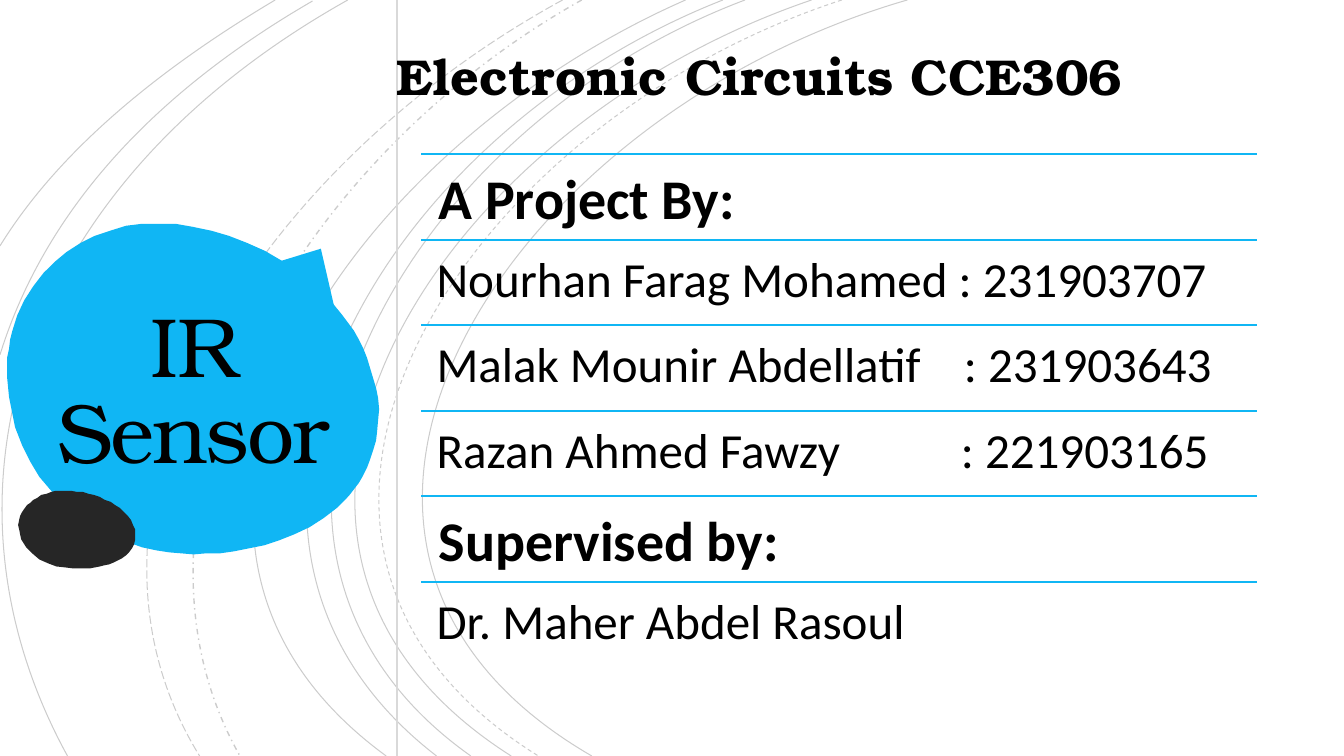
from pptx import Presentation
from pptx.dml.color import RGBColor
from pptx.enum.dml import MSO_LINE as Dash
from pptx.enum.shapes import MSO_CONNECTOR as Link, MSO_SHAPE as Shape
from pptx.enum.text import MSO_ANCHOR as Anchor, MSO_AUTO_SIZE as Fit, PP_ALIGN as Align
from pptx.oxml.ns import qn
from pptx.util import Pt
from lxml.etree import SubElement

PX = 9144
BLACK = RGBColor(0x00, 0x00, 0x00)
BLUE = RGBColor(0x10, 0xB6, 0xF4)
CHARCOAL = RGBColor(0x26, 0x26, 0x26)
GREY = RGBColor(0xD9, 0xD9, 0xD9)
SERIF, SANS = "TeX Gyre Bonum", "Calibri"

ARCS = [
    ((900, 0), (501, 115), (226, 541), (587, 750), 0.75, Dash.SOLID),
    ((835, 0), (452, 125), (194, 539), (534, 750), 0.75, Dash.DASH),
    ((805, 0), (428, 128), (173, 538), (507, 750), 0.75, Dash.SOLID),
    ((739, 0), (387, 133), (173, 542), (467, 750), 0.75, Dash.SOLID),
    ((717, 0), (366, 138), (153, 534), (433, 750), 0.75, Dash.SOLID),
    ((680, 0), (345, 147), (82, 530), (383, 750), 0.75, Dash.SOLID),
    ((577, 0), (279, 167), (102, 510), (238, 750), 1, Dash.DASH_DOT),
    ((558, 0), (249, 169), (44, 500), (198, 750), 0.75, Dash.LONG_DASH),
    ((345, 0), (15, 185), (-75, 491), (67, 750), 0.75, Dash.SOLID),
    ((310, 1), (146, 96), (43, 214), (0, 352), 0.75, Dash.SOLID),
    ((273, 0), (157, 69), (58, 150), (0, 244), 0.75, Dash.SOLID),
]
BUBBLE = [
    (11, 404), (9, 394), (8, 384), (7, 374), (7, 365), (7, 355), (9, 346), (10, 337),
    (12, 329), (17, 313), (24, 298), (33, 284), (43, 271), (54, 260), (66, 250),
    (80, 241), (94, 234), (109, 229), (125, 224), (141, 222), (157, 222), (174, 222),
    (191, 225), (210, 229), (227, 234), (245, 241), (263, 249), (280, 259), (297, 270),
    (312, 282), (326, 296), (339, 312), (351, 328), (356, 337), (360, 345), (364, 355),
    (367, 365), (370, 375), (373, 385), (375, 395), (376, 406), (375, 417), (374, 428),
    (373, 437), (370, 447), (367, 456), (364, 464), (360, 472), (356, 479), (346, 492),
    (334, 504), (321, 514), (307, 523), (292, 530), (277, 536), (262, 541), (247, 544),
    (232, 547), (218, 549), (204, 549), (192, 550), (180, 549), (168, 548), (155, 546),
    (141, 543), (127, 538), (114, 532), (100, 526), (87, 518), (74, 509), (61, 498),
    (50, 486), (39, 473), (30, 458), (22, 442), (15, 424),
]
PEBBLE = [
    (20, 530), (19, 525), (18, 521), (19, 516), (20, 512), (22, 508), (24, 505),
    (27, 501), (30, 499), (33, 496), (37, 494), (41, 491), (46, 490), (51, 488),
    (55, 487), (61, 487), (66, 487), (71, 487), (76, 488), (82, 488), (88, 490),
    (93, 491), (99, 493), (104, 496), (110, 498), (114, 501), (119, 504), (123, 508),
    (127, 512), (130, 516), (132, 521), (134, 525), (134, 530), (134, 536), (133, 540),
    (131, 544), (128, 548), (125, 551), (121, 554), (117, 556), (113, 558), (108, 560),
    (103, 561), (99, 562), (94, 563), (89, 564), (81, 564), (73, 564), (65, 563),
    (56, 562), (48, 559), (39, 555), (32, 549), (26, 543), (21, 535),
]
ROWS = [
    ("A Project By:", True, None),
    ("Nourhan Farag Mohamed : 231903707", False, None),
    ("Malak Mounir Abdellatif\t: 231903643", False, 523),
    ("Razan Ahmed Fawzy\t: 221903165", False, 520),
    ("Supervised by:", True, None),
    ("Dr. Maher Abdel Rasoul", False, None),
]


def add_outline(shapes, points, close):
    """Add a freeform through points given in px."""
    start, *rest = points
    builder = shapes.build_freeform(*start, scale=PX)
    builder.add_line_segments(rest, close=close)
    outline = builder.convert_to_shape()
    outline.shadow.inherit = False
    return outline


def add_curve(shapes, points):
    """Add an unfilled cubic curve from its four px points."""
    curve = add_outline(shapes, points, False)
    track = curve._element.find(".//" + qn("a:path"))
    bend = SubElement(track, qn("a:cubicBezTo"))
    for segment in track.findall(qn("a:lnTo")):
        bend.append(segment[0])
        track.remove(segment)
    curve.fill.background()
    return curve


def paint(shape, color):
    """Give a shape a plain fill and no border."""
    shape.shadow.inherit = False
    shape.fill.solid()
    shape.fill.fore_color.rgb = color
    shape.line.fill.background()


def place(shape, box):
    """Move a shape to a px box."""
    shape.left, shape.top, shape.width, shape.height = (round(side * PX) for side in box)


def add_line(shapes, start, end, color, width):
    """Add a straight line between two px points."""
    ends = [round(value * PX) for value in (*start, *end)]
    line = shapes.add_connector(Link.STRAIGHT, *ends)
    line.line.color.rgb = color
    line.line.width = Pt(width)
    SubElement(line._element.spPr, qn("a:effectLst"))


def write(shape, text, *, size, font, bold=False, align=Align.LEFT, anchor=Anchor.TOP,
          inset=10, leading=1.0, before=0, tracking=0, tab=None):
    """Write one formatted paragraph into a shape."""
    frame = shape.text_frame
    frame.word_wrap = True
    frame.auto_size = Fit.NONE
    frame.vertical_anchor = anchor
    frame.margin_left = frame.margin_right = inset * PX
    frame.margin_top = frame.margin_bottom = inset * PX
    para = frame.paragraphs[0]
    para.alignment = align
    para.line_spacing = leading
    para.space_before = Pt(before)
    if tab:
        stops = SubElement(para._p.get_or_add_pPr(), qn("a:tabLst"))
        SubElement(stops, qn("a:tab"), pos=str(tab * PX), algn="l")
    span = para.add_run()
    span.text = text
    span.font.name = font
    span.font.size = Pt(size)
    span.font.bold = bold
    span.font.color.rgb = BLACK
    if tracking:
        span._r.get_or_add_rPr().set("spc", str(tracking))


def draw_backdrop(page, box):
    """Draw the faint arcs and the upright rule."""
    left, top, _, height = box
    arcs = page.shapes.add_group_shape()
    for *points, width, dash in ARCS:
        arc = add_curve(arcs.shapes, [(left + x, top + y) for x, y in points])
        arc.line.color.rgb = BLACK
        arc.line.width = Pt(width)
        arc.line.dash_style = dash
        color = arc.line._ln.find(".//" + qn("a:srgbClr"))
        SubElement(color, qn("a:alpha"), val="20000")
    add_line(page.shapes, (left + 394, top), (left + 394, top + height), GREY, 1.5)


def draw_bubble(page, box):
    """Draw the speech bubble with the title inside."""
    left, top, _, _ = box
    bubble, pebble = ([(left + x, top + y) for x, y in points] for points in (BUBBLE, PEBBLE))
    paint(add_outline(page.shapes, bubble, True), BLUE)
    tail = page.shapes.add_shape(Shape.ISOSCELES_TRIANGLE, 0, 0, 0, 0)
    place(tail, (left + 199, top + 240, 188, 101))
    tail.rotation = 30
    paint(tail, BLUE)
    paint(add_outline(page.shapes, pebble, True), CHARCOAL)
    title = page.shapes.title
    title._element.getparent().append(title._element)
    place(title, (left + 31, top + 257, 321, 269))
    write(title, "IR Sensor", size=60, font=SERIF, align=Align.CENTER,
          anchor=Anchor.MIDDLE, inset=25, leading=0.85, tracking=-150)


def draw_course(page, box):
    """Write the course name across the top."""
    course = page.shapes.add_textbox(0, 0, 0, 0)
    place(course, box)
    write(course, "Electronic Circuits CCE306", size=36, font=SERIF, bold=True,
          align=Align.CENTER, anchor=Anchor.MIDDLE, before=10)


def draw_team(page, box):
    """List the team in equal rows, each under a rule."""
    left, top, width, height = box
    pitch = height / len(ROWS)
    team = page.shapes.add_group_shape().shapes
    for index, (text, heading, tab) in enumerate(ROWS):
        row_top = top + index * pitch
        add_line(team, (left, row_top), (left + width, row_top), BLUE, 1.25)
        row = team.add_textbox(0, 0, 0, 0)
        place(row, (left, row_top, width, pitch))
        write(row, text, size=40 if heading else 35, font=SANS, bold=heading,
              inset=17 if heading else 15, leading=0.9, tab=tab)


def main():
    """Build the cover slide and save it."""
    deck = Presentation()
    deck.slide_width, deck.slide_height = 1333 * PX, 750 * PX
    page = deck.slides.add_slide(deck.slide_layouts[5])
    draw_backdrop(page, (0, 0, 1333, 750))
    draw_bubble(page, (0, 0, 376, 564))
    draw_course(page, (336, 32, 834, 86))
    draw_team(page, (418, 153, 829, 509))
    deck.save("out.pptx")


if __name__ == "__main__":
    main()
